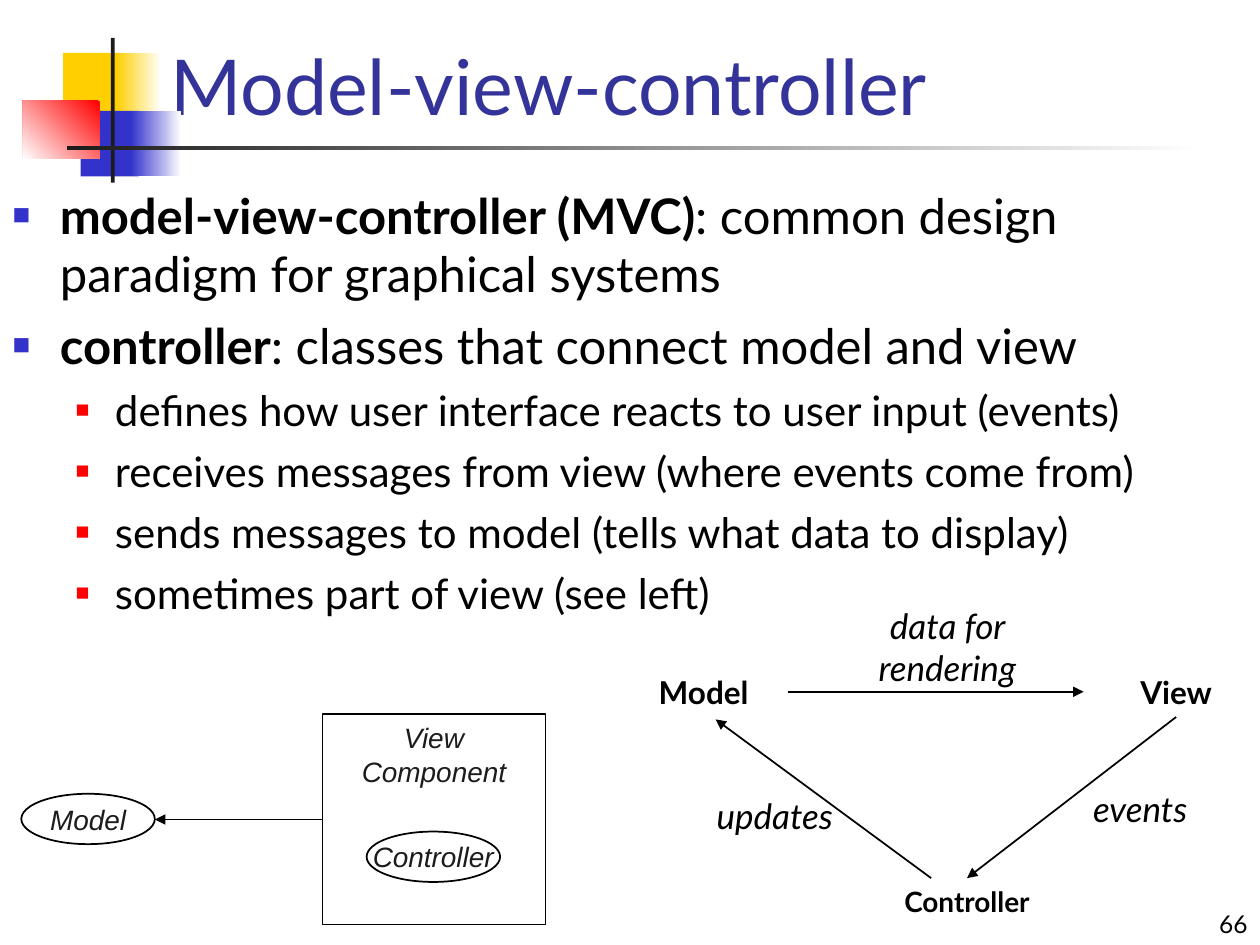
import pptx
import pptx.util
import pptx.dml.color
import pptx.enum.shapes
import pptx.enum.text
import pptx.oxml.ns

Pt = pptx.util.Pt
Shapes = pptx.enum.shapes.MSO_SHAPE
Align = pptx.enum.text.PP_ALIGN
Anchor = pptx.enum.text.MSO_ANCHOR

COLORS = {
    "white": "FFFFFF", "black": "000000", "ink": "1C1C1C", "title": "333399",
    "yellow": "FFCF01", "blue": "3333CC", "red": "FF0000",
}
# level: (size, indent, hanging, space before, bullet colour, bullet percent)
LEVELS = {0: (28, 27, 27, 7, "blue", 60), 1: (24, 58.5, 22.5, 6, "red", 55)}
BULLETS = [
    (0, "model-view-controller (MVC)", ": common design paradigm for graphical systems"),
    (0, "controller", ": classes that connect model and view"),
    (1, "", "defines how user interface reacts to user input (events)"),
    (1, "", "receives messages from view (where events come from)"),
    (1, "", "sends messages to model (tells what data to display)"),
    (1, "", "sometimes part of view (see left)"),
]


def rgb(name):
    return pptx.dml.color.RGBColor.from_string(COLORS[name])


def append_element(parent, tag, **attributes):
    child = parent.makeelement(pptx.oxml.ns.qn(tag), attributes)
    parent.append(child)
    return child


def place(box, left, top, width, height):
    """Turn a rectangle relative to a box into slide lengths."""
    return Pt(box[0] + left), Pt(box[1] + top), Pt(width), Pt(height)


def add_run(paragraph, text, size, color="black", font="Lato", bold=False, italic=False):
    run = paragraph.add_run()
    run.text = text
    run.font.name, run.font.size = font, Pt(size)
    run.font.bold, run.font.italic = bold, italic
    run.font.color.rgb = rgb(color)


def add_outline(slide, kind, area, line):
    shape = slide.shapes.add_shape(kind, *area)
    shape.shadow.inherit = False
    shape.fill.background()
    shape.line.color.rgb = rgb(line)
    shape.line.width = Pt(1)
    return shape


def write_lines(shape, lines, align=Align.CENTER, anchor=Anchor.TOP, wrap=True, **style):
    frame = shape.text_frame
    frame.word_wrap, frame.vertical_anchor = wrap, anchor
    for index, text in enumerate(lines):
        paragraph = frame.add_paragraph() if index else frame.paragraphs[0]
        paragraph.alignment = align
        add_run(paragraph, text, **style)


def add_arrow(slide, box, start, end):
    points = [Pt(origin + offset) for point in (start, end)
              for origin, offset in zip(box, point)]
    arrow = slide.shapes.add_connector(pptx.enum.shapes.MSO_CONNECTOR.STRAIGHT, *points)
    arrow.line.color.rgb = rgb("black")
    arrow.line.width = Pt(1)
    properties = arrow._element.spPr
    append_element(properties.find(pptx.oxml.ns.qn("a:ln")), "a:tailEnd", type="triangle")
    append_element(properties, "a:effectLst")
    return arrow


def add_ornament(slide, box):
    # left, top, width, height, colours (two make a gradient), angle
    parts = [
        (23, 8.6, 34.6, 37.4, ["yellow"], 0),
        (53.3, 8.6, 25.9, 37.4, ["white", "yellow"], 180),
        (33.1, 41.8, 33.1, 37.4, ["blue"], 0),
        (61.9, 41.8, 28.8, 37.4, ["white", "blue"], 180),
        (0, 36, 43.9, 33.1, ["red", "white"], 225),
        (50.4, 0, 2.2, 82.8, ["ink"], 0),
        (25.2, 61.9, 648, 2.2, ["white", "ink"], 180),
    ]
    for *area, colors, angle in parts:
        shape = slide.shapes.add_shape(Shapes.RECTANGLE, *place(box, *area))
        shape.shadow.inherit = False
        shape.line.fill.background()
        if len(colors) == 1:
            shape.fill.solid()
            shape.fill.fore_color.rgb = rgb(colors[0])
        else:
            shape.fill.gradient()
            shape.fill.gradient_angle = angle
            for stop, color in zip(shape.fill.gradient_stops, colors):
                stop.color.rgb = rgb(color)


def move_placeholder(shape, box):
    shape.left, shape.top, shape.width, shape.height = (Pt(value) for value in box)
    shape.text_frame.auto_size = pptx.enum.text.MSO_AUTO_SIZE.NONE


def fill_title(slide, box):
    title = slide.shapes.title
    move_placeholder(title, box)
    write_lines(title, ["Model-view-controller"], Align.LEFT, Anchor.BOTTOM,
                size=44, color="title")


def add_bullet(paragraph, level):
    size, indent, hanging, before, color, percent = LEVELS[level]
    paragraph.level = level
    properties = paragraph._p.get_or_add_pPr()
    properties.set("marL", str(Pt(indent)))
    properties.set("indent", str(-Pt(hanging)))
    append_element(append_element(properties, "a:buClr"), "a:srgbClr", val=COLORS[color])
    append_element(properties, "a:buSzPct", val=str(percent * 1000))
    append_element(properties, "a:buFont", typeface="Arial")
    append_element(properties, "a:buChar", char="■")
    return size, before


def fill_body(slide, box):
    body = slide.placeholders[1]
    move_placeholder(body, box)
    frame = body.text_frame
    for index, (level, term, text) in enumerate(BULLETS):
        paragraph = frame.add_paragraph() if index else frame.paragraphs[0]
        size, before = add_bullet(paragraph, level)
        paragraph.space_before = Pt(before if index else 0)
        if term:
            add_run(paragraph, term, size, bold=True)
        add_run(paragraph, text, size)


def add_cycle_diagram(slide, box):
    # Roles
    roles = {}
    for name, left, top, height, size in (("Model", 0, 38.9, 28.8, 18),
                                          ("Controller", 150.5, 159.8, 26.6, 16),
                                          ("View", 270, 38.9, 28.8, 18)):
        area = place(box, left, top, 95.8, height)
        roles[name] = add_outline(slide, Shapes.RECTANGLE, area, "white")
        write_lines(roles[name], [name], size=size, bold=True)
    # Arrows between roles
    add_arrow(slide, box, (95.8, 53.3), (265, 53.3)).begin_connect(roles["Model"], 3)
    events = add_arrow(slide, box, (318, 67.7), (198.4, 159.8))
    events.begin_connect(roles["View"], 2)
    events.end_connect(roles["Controller"], 0)
    add_arrow(slide, box, (177.9, 159.8), (54.7, 69.1))
    # Arrow captions
    for text, *area in (("data for rendering", 136.8, 0, 100.8, 79.2),
                        ("events", 247, 104.4, 100.8, 31.7),
                        ("updates", 36, 108.7, 105.1, 31.7)):
        caption = slide.shapes.add_textbox(*place(box, *area))
        write_lines(caption, [text], size=20, italic=True)


def add_component_diagram(slide, box):
    nodes = {}
    for name, kind, anchor, lines, *area in (
            ("model", Shapes.OVAL, Anchor.MIDDLE, ["Model"], 0, 45.4, 76.3, 28.8),
            ("view", Shapes.RECTANGLE, Anchor.TOP, ["View", "Component"],
             172.1, 0, 127.4, 120.2),
            ("controller", Shapes.OVAL, Anchor.MIDDLE, ["Controller"],
             197.3, 67, 76.3, 28.8)):
        nodes[name] = add_outline(slide, kind, place(box, *area), "black")
        write_lines(nodes[name], lines, anchor=anchor, wrap=False,
                    size=16, color="ink", font="Arial", italic=True)
    add_arrow(slide, box, (172.1, 60.1), (76.3, 60.1)).begin_connect(nodes["view"], 1)


def add_page_number(slide, box):
    number = slide.shapes.add_textbox(*place(box, 0, 0, *box[2:]))
    write_lines(number, ["66"], Align.RIGHT, Anchor.BOTTOM, size=14)


def main():
    presentation = pptx.Presentation()
    presentation.slide_width, presentation.slide_height = Pt(720), Pt(540)
    slide = presentation.slides.add_slide(presentation.slide_layouts[1])
    add_ornament(slide, (13, 21.6, 673.2, 82.8))
    fill_title(slide, (90, 12.2, 614.2, 66.2))
    fill_body(slide, (0, 102.2, 720, 437.8))
    add_cycle_diagram(slide, (354.2, 342, 365.8, 186.4))
    add_component_diagram(slide, (12.2, 408.2, 299.5, 120.2))
    add_page_number(slide, (612, 504, 108, 36))
    presentation.save("out.pptx")


if __name__ == "__main__":
    main()
